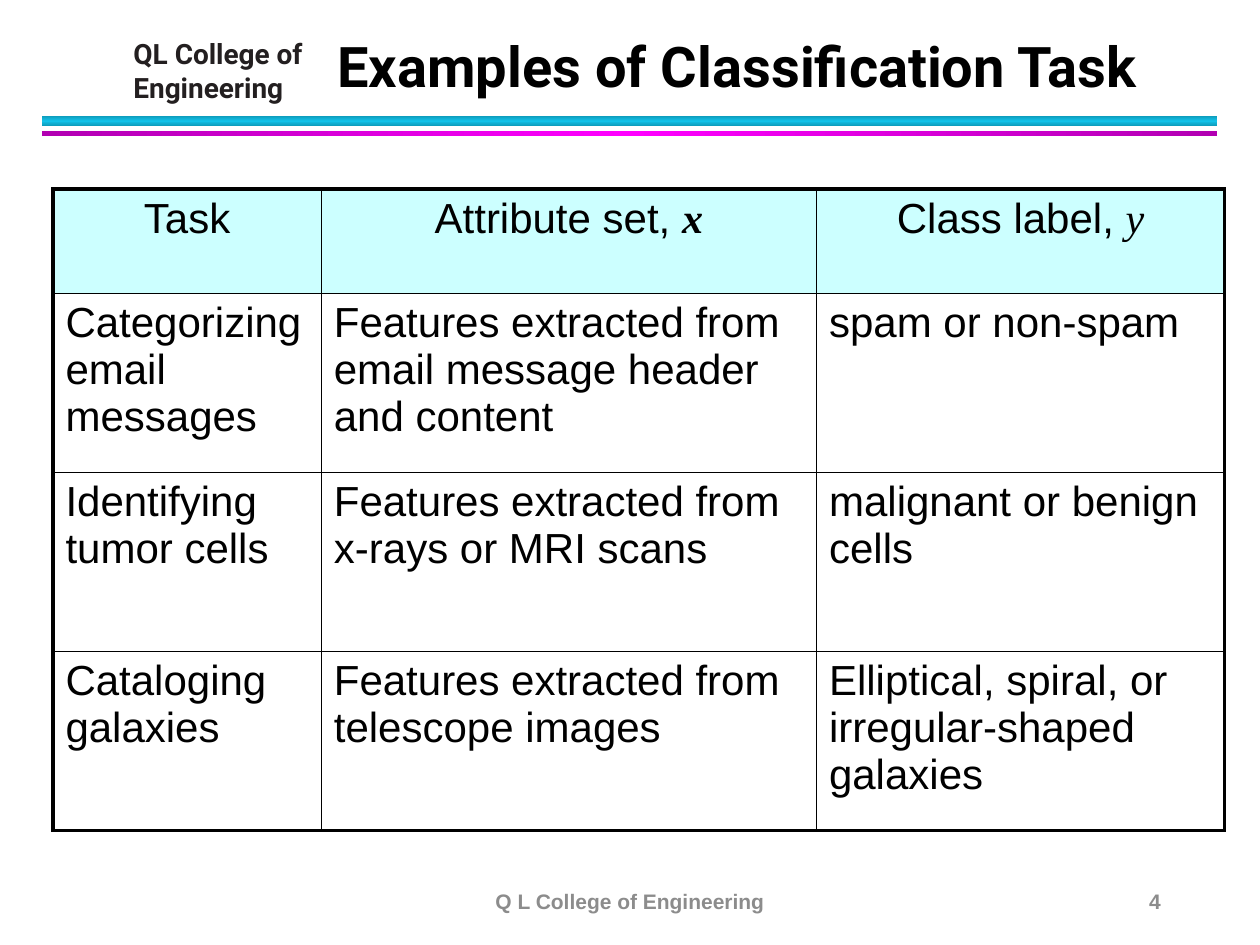
from copy import deepcopy

from lxml import etree
from pptx import Presentation
from pptx.dml.color import RGBColor
from pptx.enum import shapes, text
from pptx.oxml.ns import qn
from pptx.util import Inches, Pt

BLACK = RGBColor(0, 0, 0)
INK = RGBColor(0x23, 0x1F, 0x20)
GREY = RGBColor(0x8C, 0x8C, 0x8C)
HEADER_FILL = RGBColor(0xCC, 0xFF, 0xFF)
TEAL, CYAN = RGBColor(0x0E, 0x9B, 0xBA), RGBColor(0x12, 0xC2, 0xE9)
PURPLE, MAGENTA = RGBColor(0xB2, 0, 0xB2), RGBColor(0xFF, 0, 0xFF)

# Content
COLLEGE = ["QL College of", "Engineering"]
TITLE = "Examples of Classification Task"
FOOTER, PAGE = "Q L College of Engineering", "4"
HEADERS = [("Task", ""), ("Attribute set, ", "x"), ("Class label, ", "y")]
BOLD_SYMBOLS = {"x"}
ROWS = [
    ("Categorizing email messages",
     "Features extracted from email message header and content",
     "spam or non-spam"),
    ("Identifying tumor cells",
     "Features extracted from x-rays or MRI scans",
     "malignant or benign cells"),
    ("Cataloging galaxies",
     "Features extracted from telescope images",
     "Elliptical, spiral, or irregular-shaped galaxies"),
]
COL_WIDTHS = [2.13, 3.93, 3.24]
ROW_HEIGHTS = [0.83] + [1.42] * len(ROWS)
# top, height, edge colour, middle colour, angle
RULES = [(0.92, 0.08, TEAL, CYAN, 90), (1.04, 0.04, PURPLE, MAGENTA, 0)]


def add_rule(slide, top, height, edge, middle, angle):
    s = slide.shapes.add_shape(shapes.MSO_SHAPE.RECTANGLE, Inches(0.33),
                               Inches(top), Inches(9.33), Inches(height))
    s.shadow.inherit = False
    s.line.fill.background()
    s.fill.gradient()
    s.fill.gradient_angle = angle
    for stop in s.fill.gradient_stops:
        stop.color.rgb = edge
    stops = s._element.spPr.find(".//" + qn("a:gsLst"))
    stops.insert(1, deepcopy(stops[0]))
    for stop, position in zip(s.fill.gradient_stops, (0, 0.5, 1)):
        stop.position = position
    s.fill.gradient_stops[1].color.rgb = middle


def add_text(slide, box, lines, font, size, color, align=text.PP_ALIGN.LEFT,
             anchor=text.MSO_ANCHOR.MIDDLE, spacing=None, before=None):
    s = slide.shapes.add_textbox(*map(Inches, box))
    tf = s.text_frame
    tf.word_wrap = True
    tf.vertical_anchor = anchor
    tf.text = "\n".join(lines)
    for p in tf.paragraphs:
        p.alignment = align
        p.line_spacing = spacing
        p.space_before = before
        style(p.font, font, size, color, bold=True)
    return tf


def style(f, name, size, color, bold=False):
    f.name, f.size, f.bold = name, Pt(size), bold
    f.color.rgb = color


def set_borders(cell, widths):
    tcPr = cell._tc.get_or_add_tcPr()
    for side, width in widths.items():
        ln = etree.SubElement(tcPr, qn("a:ln" + side), w=str(Pt(width)))
        fill = etree.SubElement(ln, qn("a:solidFill"))
        etree.SubElement(fill, qn("a:srgbClr"), val=str(BLACK))


def add_task_table(slide):
    n_rows, n_cols = len(ROW_HEIGHTS), len(COL_WIDTHS)
    table = slide.shapes.add_table(
        n_rows, n_cols, Inches(0.42), Inches(1.5),
        Inches(sum(COL_WIDTHS)), Inches(sum(ROW_HEIGHTS))).table
    table.first_row = table.horz_banding = False
    for col, width in zip(table.columns, COL_WIDTHS):
        col.width = Inches(width)
    for row, height in zip(table.rows, ROW_HEIGHTS):
        row.height = Inches(height)

    for i in range(n_rows):
        for j in range(n_cols):
            cell = table.cell(i, j)
            outer = {"L": j == 0, "R": j == n_cols - 1,
                     "T": i == 0, "B": i == n_rows - 1}
            set_borders(cell, {k: 2.25 if v else 1 for k, v in outer.items()})
            p = cell.text_frame.paragraphs[0]
            p.space_before, p.space_after = Pt(2.4), Pt(4)
            style(p.font, "Arial", 24, BLACK)
            if i:
                cell.fill.background()
                p.add_run().text = ROWS[i - 1][j]
                continue
            cell.fill.solid()
            cell.fill.fore_color.rgb = HEADER_FILL
            p.alignment = text.PP_ALIGN.CENTER
            label, symbol = HEADERS[j]
            p.add_run().text = label
            if symbol:
                r = p.add_run()
                r.text = symbol
                style(r.font, "Times New Roman", 24, BLACK,
                      symbol in BOLD_SYMBOLS)
                r.font.italic = True


def main():
    prs = Presentation()
    prs.slide_width, prs.slide_height = Inches(10), Inches(7.5)
    slide = prs.slides.add_slide(prs.slide_layouts[6])

    # Header
    for rule in RULES:
        add_rule(slide, *rule)
    tf = add_text(slide, (1.06, 0.29, 1.5, 0.54), COLLEGE, "Roboto", 16, INK,
                  anchor=text.MSO_ANCHOR.TOP, spacing=Pt(17.9),
                  before=Pt(1.4))
    tf.margin_left = tf.margin_right = tf.margin_bottom = 0
    tf.margin_top = Inches(0.02)
    add_text(slide, (2.58, 0.25, 7.42, 0.58), [TITLE], "Roboto", 32, BLACK,
             anchor=text.MSO_ANCHOR.BOTTOM, spacing=Pt(36))

    add_task_table(slide)

    # Footer
    add_text(slide, (3.31, 6.95, 3.38, 0.4), [FOOTER], "Arial", 12, GREY,
             align=text.PP_ALIGN.CENTER)
    add_text(slide, (7.06, 6.95, 2.25, 0.4), [PAGE], "Arial", 12, GREY,
             align=text.PP_ALIGN.RIGHT)

    prs.save("out.pptx")


if __name__ == "__main__":
    main()
